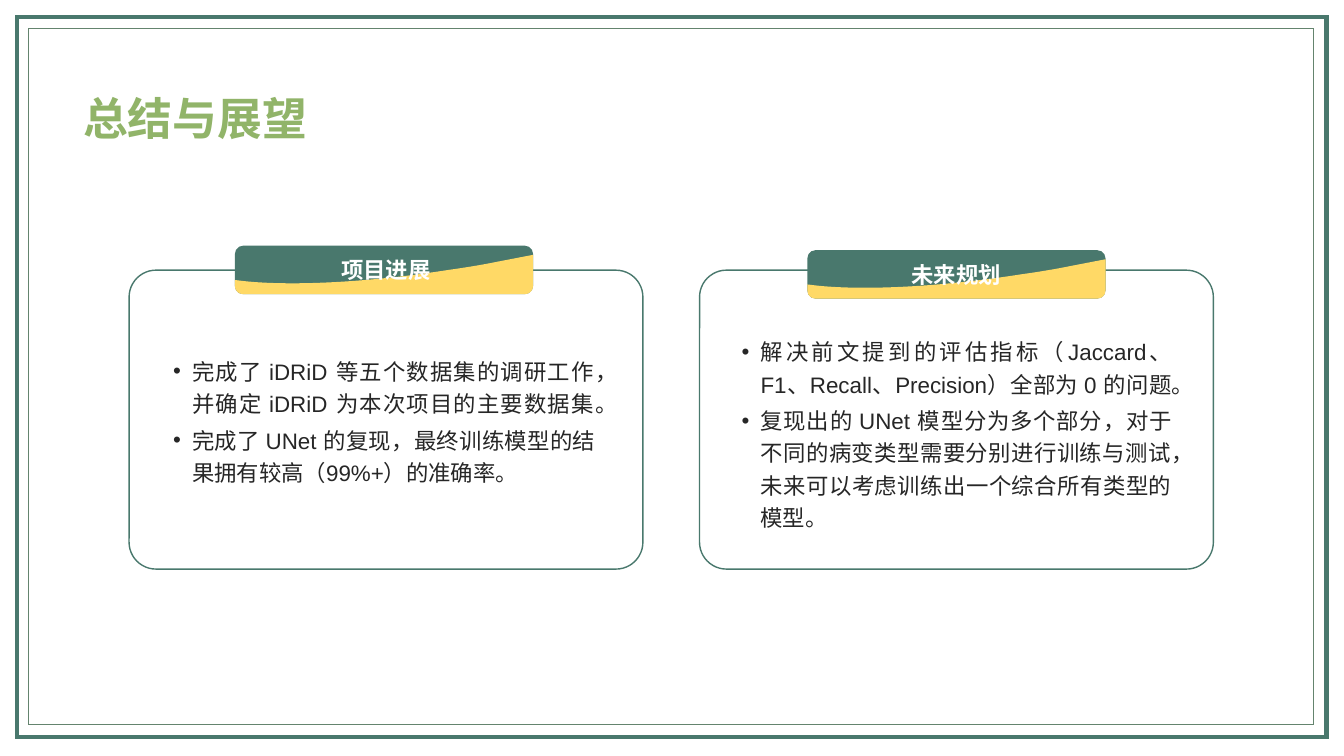
from lxml import etree
from pptx import Presentation
from pptx import util as u
from pptx.dml.color import RGBColor
from pptx.enum import lang, shapes, text
from pptx.oxml import ns

GREEN = "49786D"
YELLOW = "FFD966"
WHITE = "FFFFFF"
CARD_TOP, CARD_WIDTH, CARD_HEIGHT = 193, 367, 213.5
BAND_WIDTH, BAND_HEIGHT = 213, 34.6
LABEL_WIDTH, LABEL_HEIGHT = 154, 26.6
WAVE_HEIGHT = 28.1
WAVE_SEGMENTS = [
    [(213, 22.3)],
    [(213, 25.5), (210.4, 28.1), (207.2, 28.1)],
    [(5.8, 28.1)],
    [(2.6, 28.1), (0, 25.5), (0, 22.3)],
    [(0, 18)],
    [(5.8, 18.7)],
    [(38.2, 22.3), (92.9, 20.2), (152.6, 10.8)],
    [(164.9, 9.1), (176.4, 7.2), (187.2, 5)],
]


def colour(value):
    """Turn a hex string into a colour."""
    return RGBColor.from_string(value)


def place(shape, left, top, width, height):
    """Position a shape, with all lengths in points."""
    shape.left, shape.top = u.Pt(left), u.Pt(top)
    shape.width, shape.height = u.Pt(width), u.Pt(height)


def paint(shape, fill=None, line=None, weight=1):
    """Set the fill and mitred outline of a shape and drop its shadow."""
    shape.shadow.inherit = False
    if fill:
        shape.fill.solid()
        shape.fill.fore_color.rgb = colour(fill)
    else:
        shape.fill.background()
    if line:
        shape.line.color.rgb = colour(line)
        shape.line.width = u.Pt(weight)
        outline = shape.line._get_or_add_ln()
        etree.SubElement(outline, ns.qn("a:miter")).set("lim", "800000")
    else:
        shape.line.fill.background()


def add_box(slide, box, rounding=None, **look):
    """Add a rectangle, rounded when a corner ratio is given."""
    kinds = shapes.MSO_SHAPE
    kind = kinds.ROUNDED_RECTANGLE if rounding else kinds.RECTANGLE
    shape = slide.shapes.add_shape(kind, *map(u.Pt, box))
    if rounding:
        shape.adjustments[0] = rounding
    paint(shape, **look)


def bend_segments(shape, segments):
    """Turn each group of three line segments into one cubic curve."""
    lines = list(shape._element.iter(ns.qn("a:lnTo")))
    for segment in segments:
        group, lines = lines[:len(segment)], lines[len(segment):]
        if len(group) == 3:
            group[0].tag = ns.qn("a:cubicBezTo")
            for line in group[1:]:
                group[0].append(line[0])
                line.getparent().remove(line)


def add_wave(slide, left, top):
    """Add the yellow wave on the lower part of a band."""
    builder = slide.shapes.build_freeform(u.Pt(left + BAND_WIDTH), u.Pt(top))
    builder.add_line_segments(
        [(u.Pt(left + x), u.Pt(top + y))
         for segment in WAVE_SEGMENTS for x, y in segment], close=True)
    wave = builder.convert_to_shape()
    bend_segments(wave, WAVE_SEGMENTS)
    paint(wave, fill=YELLOW)


def format_frame(shape, margin=0, anchor=text.MSO_ANCHOR.TOP):
    """Set wrapping, side margins and anchoring of a shape's text."""
    frame = shape.text_frame
    frame.word_wrap = True
    frame.auto_size = text.MSO_AUTO_SIZE.NONE
    frame.vertical_anchor = anchor
    frame.margin_left = frame.margin_right = u.Pt(margin)
    frame.margin_top = frame.margin_bottom = u.Pt(margin / 2)


def format_paragraph(paragraph, size, hex_colour, align, bold=False):
    """Set alignment and font of a paragraph and its runs."""
    paragraph.alignment = align
    paragraph.space_before = u.Pt(0)
    for run in paragraph.runs:
        font = run.font
        font.name, font.size, font.bold = "Arial", u.Pt(size), bold
        font.color.rgb = colour(hex_colour)
        font.language_id = lang.MSO_LANGUAGE_ID.SIMPLIFIED_CHINESE


def add_bullet(paragraph):
    """Give a paragraph a round bullet with a hanging indent."""
    properties = paragraph._p.get_or_add_pPr()
    properties.set("marL", str(u.Pt(13.5)))
    properties.set("indent", str(-u.Pt(13.5)))
    font = etree.SubElement(properties, ns.qn("a:buFont"))
    font.set("typeface", "Arial")
    etree.SubElement(properties, ns.qn("a:buChar")).set("char", "•")


def fill_title(slide, title):
    """Write and place the slide title."""
    shape = slide.shapes.title
    place(shape, 59.4, 64.8, 183.6, 38.9)
    format_frame(shape, anchor=text.MSO_ANCHOR.MIDDLE)
    shape.text_frame.text = title
    format_paragraph(shape.text_frame.paragraphs[0], 32, "91B469",
                     text.PP_ALIGN.LEFT, bold=True)


def fill_list(slide, placeholder, box, items):
    """Write a bulleted list and bring it in front of its card."""
    place(placeholder, *box)
    format_frame(placeholder)
    frame = placeholder.text_frame
    frame.text = "\n".join(items)
    for index, paragraph in enumerate(frame.paragraphs):
        add_bullet(paragraph)
        format_paragraph(paragraph, 16, "262626", text.PP_ALIGN.JUSTIFY)
        paragraph.line_spacing = 1.2
        if index:
            paragraph.space_before = u.Pt(3.2)
    slide.shapes._spTree.append(placeholder._element)


def add_label(slide, left, top, label):
    """Add the white heading on a band."""
    shape = slide.shapes.add_textbox(
        *map(u.Pt, (left, top, LABEL_WIDTH, LABEL_HEIGHT)))
    format_frame(shape, margin=7.2)
    shape.text_frame.text = label
    format_paragraph(shape.text_frame.paragraphs[0], 16, WHITE,
                     text.PP_ALIGN.CENTER, bold=True)


def add_panel(slide, card_left, band, label_left, label, list_index, list_box, items):
    """Add a card with its band, heading and list."""
    band_left, band_top = band
    add_box(slide, (card_left, CARD_TOP, CARD_WIDTH, CARD_HEIGHT),
            rounding=0.09, fill=WHITE, line=GREEN)
    add_box(slide, (band_left, band_top, BAND_WIDTH, BAND_HEIGHT),
            rounding=0.17, fill=GREEN)
    add_wave(slide, band_left, band_top + BAND_HEIGHT - WAVE_HEIGHT)
    add_label(slide, label_left, band_top + 4, label)
    fill_list(slide, slide.placeholders[list_index], list_box, items)


def main():
    """Build the summary slide and save it."""
    presentation = Presentation()
    presentation.slide_width, presentation.slide_height = u.Pt(960), u.Pt(540)
    slide = presentation.slides.add_slide(presentation.slide_layouts[3])
    add_box(slide, (12.2, 12.2, 935.3, 514.1), line=GREEN, weight=3)
    add_box(slide, (20.2, 20.2, 918, 497.5), line="64846E", weight=0.5)
    fill_title(slide, "总结与展望")
    add_panel(slide, 92.2, (167.8, 175.5), 198.7, "项目进展", 1,
              (123.7, 251.8, 301.7, 95), [
                  "完成了 iDRiD 等五个数据集的调研工作，并确定 iDRiD 为本次项目的主要数据集。",
                  "完成了 UNet 的复现，最终训练模型的结果拥有较高（99%+）的准确率。",
              ])
    add_panel(slide, 499.7, (576.7, 178.7), 605.9, "未来规划", 2,
              (529.8, 237.9, 307.4, 143.3), [
                  "解决前文提到的评估指标（Jaccard、F1、Recall、Precision）全部为 0 的问题。",
                  "复现出的 UNet 模型分为多个部分，对于不同的病变类型需要分别进行训练与测试，"
                  "未来可以考虑训练出一个综合所有类型的模型。",
              ])
    presentation.save("out.pptx")


if __name__ == "__main__":
    main()
